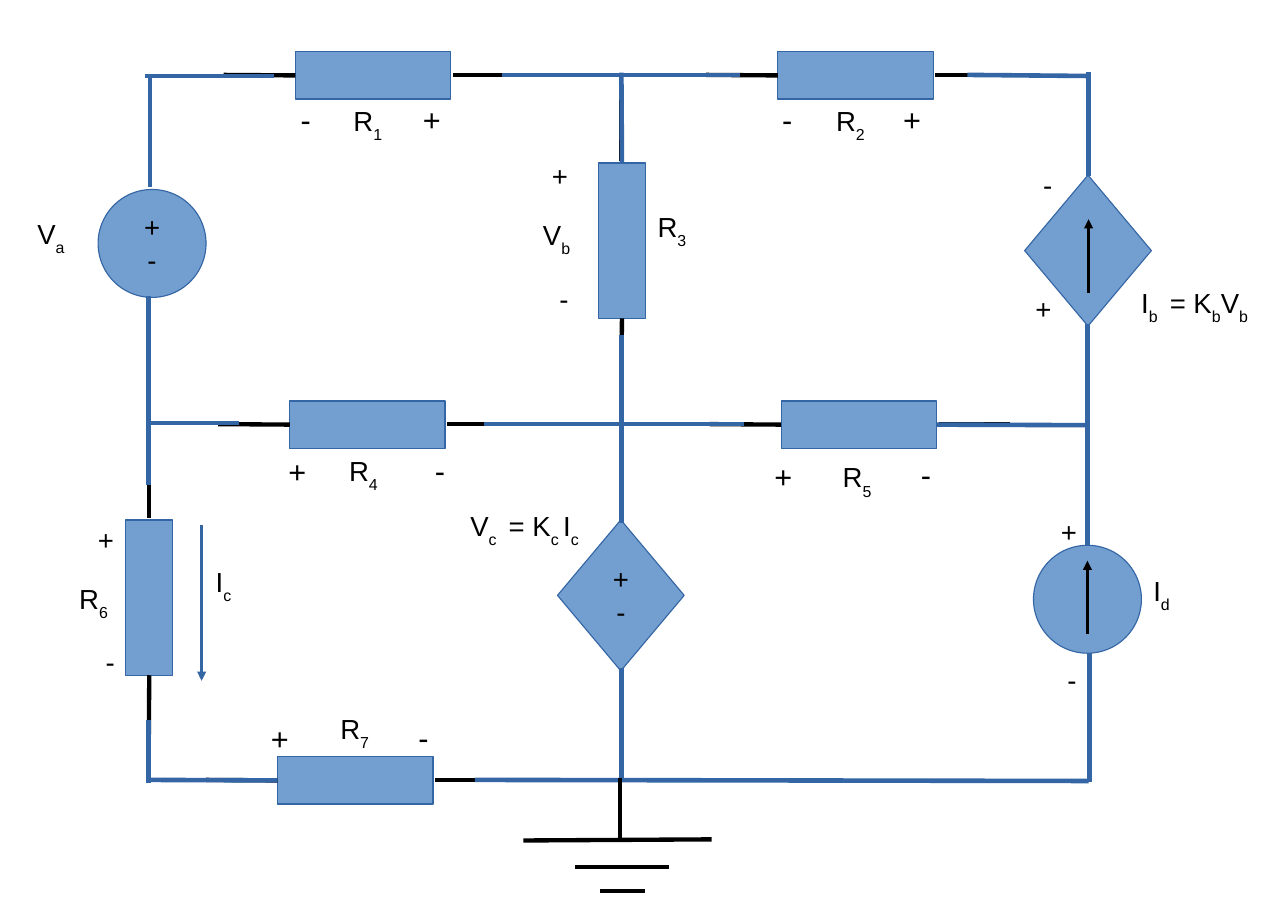
from dataclasses import dataclass

from lxml import etree
from pptx import Presentation
from pptx.dml.color import RGBColor
from pptx.enum.shapes import MSO_CONNECTOR, MSO_SHAPE
from pptx.enum.text import MSO_ANCHOR, MSO_AUTO_SIZE, PP_ALIGN
from pptx.oxml.ns import qn
from pptx.shapes.autoshape import Shape
from pptx.shapes.connector import Connector
from pptx.slide import Slide
from pptx.text.text import _Paragraph
from pptx.util import Pt

PX = 9144  # 100 px to the inch
BLACK = RGBColor(0x00, 0x00, 0x00)
BODY_BLUE = RGBColor(0x72, 0x9F, 0xCF)
WIRE_BLUE = RGBColor(0x34, 0x65, 0xA4)
FONT = "Arial"
HAIRLINE, LEAD_WIDTH, WIRE_WIDTH = 0, 2.83, 3
STRAIGHT = MSO_CONNECTOR.STRAIGHT
RECTANGLE, CIRCLE, DIAMOND = MSO_SHAPE.RECTANGLE, MSO_SHAPE.OVAL, MSO_SHAPE.DIAMOND
MIDDLE, CENTER = MSO_ANCHOR.MIDDLE, PP_ALIGN.CENTER
FIT_SHAPE = MSO_AUTO_SIZE.SHAPE_TO_FIT_TEXT
TOP, LEFT, BOTTOM, RIGHT = range(4)
LENGTH, THICKNESS, LEAD, GAP = 141, 43, 65, 2


@dataclass
class Resistor:
    name: str
    x: int
    y: int
    upright: bool = False


@dataclass
class Source:
    kind: MSO_SHAPE
    x: int
    y: int
    width: int
    height: int
    polarity: str = ""


@dataclass
class Line:
    x1: int
    y1: int
    x2: int
    y2: int


@dataclass
class Label:
    text: str  # parts between bars: base, subscript, base, ...
    x: int
    y: int
    width: int = 64
    height: int = 59
    size: int = 18


SOURCES = [
    Source(DIAMOND, 506, 472, 115, 137, "+\n-"),
    Source(CIRCLE, 938, 495, 98, 98),
    Source(DIAMOND, 930, 159, 115, 137),
    Source(CIRCLE, 89, 172, 98, 98, "+\n-"),
]
SOURCE_ARROWS = [Line(987, 576, 987, 509), Line(988, 266, 988, 199)]
CURRENT_ARROW = Line(183, 477, 183, 618)

RESISTORS = [
    Resistor("R1", 268, 47),
    Resistor("R2", 706, 47),
    Resistor("R4", 263, 364),
    Resistor("R5", 709, 364),
    Resistor("R7", 252, 687),
    Resistor("R6", 114, 472, upright=True),
    Resistor("R3", 543, 148, upright=True),
]

WIRES = [
    Line(136, 170, 136, 69), Line(132, 69, 249, 69),
    Line(135, 440, 135, 269), Line(135, 711, 135, 654),
    Line(439, 385, 675, 385), Line(564, 475, 564, 304),
    Line(456, 68, 672, 68), Line(431, 708, 988, 709),
    Line(564, 709, 564, 606), Line(989, 710, 989, 593),
    Line(987, 496, 987, 294), Line(988, 160, 988, 65),
    Line(878, 68, 988, 69), Line(135, 384, 217, 384),
]
# Wires that start at the middle of a resistor's side
JOINED_WIRES = [
    ("R7", LEFT, Line(252, 708, 134, 708)),
    ("R3", TOP, Line(564, 148, 564, 66)),
    ("R5", RIGHT, Line(850, 385, 988, 386)),
]

GROUND = [
    Line(646, 762, 475, 763), Line(522, 787, 607, 787),
    Line(545, 809, 585, 809), Line(563, 761, 563, 706),
]

NAMES = [
    Label("R|1", 311, 89), Label("R|2", 749, 89), Label("R|3", 587, 186),
    Label("R|4", 307, 407), Label("R|5", 755, 413), Label("R|6", 62, 523),
    Label("R|7", 299, 641), Label("I|d", 1037, 516), Label("V|a", 24, 192),
    Label("I|c", 186, 508), Label("V|b", 483, 193),
    Label("V|c | = K|c |I|c", 417, 457, 170),
    Label("I|b | = K|b|V|b", 1026, 255, 170),
]
# Signs beside the lying resistors are larger than those beside upright parts
LARGE_SIGNS = [
    ("-", 263, 87), ("+", 374, 87), ("-", 700, 87), ("+", 810, 87),
    ("-", 826, 409), ("+", 693, 411), ("-", 370, 648), ("+", 236, 649),
    ("-", 385, 405), ("+", 252, 406),
]
SMALL_SIGNS = [
    ("-", 498, 251), ("+", 491, 139), ("-", 86, 581), ("+", 79, 470),
    ("-", 959, 597), ("+", 953, 463), ("-", 937, 148), ("+", 930, 260),
]
LABELS = (
    NAMES
    + [Label(*sign, size=20) for sign in LARGE_SIGNS]
    + [Label(*sign, height=57) for sign in SMALL_SIGNS]
)


def set_font(paragraph: _Paragraph, size: int) -> None:
    paragraph.font.name = FONT
    paragraph.font.size = Pt(size)
    paragraph.font.color.rgb = BLACK


def draw_body(slide: Slide, kind: MSO_SHAPE, x: int, y: int, width: int, height: int) -> Shape:
    body = slide.shapes.add_shape(kind, x * PX, y * PX, width * PX, height * PX)
    body.shadow.inherit = False
    body.fill.solid()
    body.fill.fore_color.rgb = BODY_BLUE
    body.line.color.rgb = WIRE_BLUE
    body.line.width = Pt(HAIRLINE)
    return body


def draw_line(slide: Slide, line: Line, color: RGBColor, width: float, arrow: bool = False) -> Connector:
    connector = slide.shapes.add_connector(
        STRAIGHT, line.x1 * PX, line.y1 * PX, line.x2 * PX, line.y2 * PX)
    connector.line.color.rgb = color
    connector.line.width = Pt(width)
    if arrow:
        etree.SubElement(connector.line._get_or_add_ln(), qn("a:tailEnd"), type="triangle")
    etree.SubElement(connector._element.spPr, qn("a:effectLst"))
    return connector


def draw_source(slide: Slide, source: Source) -> None:
    body = draw_body(slide, source.kind, source.x, source.y, source.width, source.height)
    if source.polarity:
        frame = body.text_frame
        frame.text = source.polarity
        frame.word_wrap = False
        frame.vertical_anchor = MIDDLE
        for paragraph in frame.paragraphs:
            paragraph.alignment = CENTER
            set_font(paragraph, 18)


def draw_resistor(slide: Slide, resistor: Resistor) -> Shape:
    x, y = resistor.x, resistor.y
    if resistor.upright:
        middle, end = x + THICKNESS // 2, y + LENGTH
        body = draw_body(slide, RECTANGLE, x, y, THICKNESS, LENGTH)
        joined, side = Line(middle, end, middle, end + LEAD), BOTTOM
        loose = Line(middle, y - GAP, middle, y - GAP - LEAD)
    else:
        middle, end = y + THICKNESS // 2, x + LENGTH
        body = draw_body(slide, RECTANGLE, x, y, LENGTH, THICKNESS)
        joined, side = Line(x, middle, x - LEAD, middle), LEFT
        loose = Line(end + GAP, middle, end + GAP + LEAD, middle)
    draw_line(slide, joined, BLACK, LEAD_WIDTH).begin_connect(body, side)
    draw_line(slide, loose, BLACK, LEAD_WIDTH)
    return body


def draw_label(slide: Slide, label: Label) -> None:
    box = slide.shapes.add_textbox(
        label.x * PX, label.y * PX, label.width * PX, label.height * PX)
    box.text_frame.word_wrap = True
    box.text_frame.auto_size = FIT_SHAPE
    paragraph = box.text_frame.paragraphs[0]
    set_font(paragraph, label.size)
    for index, part in enumerate(label.text.split("|")):
        run = paragraph.add_run()
        run.text = part
        if index % 2:
            run._r.get_or_add_rPr().set("baseline", "-33000")


def main() -> None:
    presentation = Presentation()
    presentation.slide_width, presentation.slide_height = 1169 * PX, 827 * PX
    slide = presentation.slides.add_slide(presentation.slide_layouts[6])

    # Sources and resistors
    for source in SOURCES:
        draw_source(slide, source)
    for arrow in SOURCE_ARROWS:
        draw_line(slide, arrow, BLACK, HAIRLINE, arrow=True)
    bodies = {resistor.name: draw_resistor(slide, resistor) for resistor in RESISTORS}

    # Wiring, current direction and ground
    for wire in WIRES:
        draw_line(slide, wire, WIRE_BLUE, WIRE_WIDTH)
    for name, side, wire in JOINED_WIRES:
        draw_line(slide, wire, WIRE_BLUE, WIRE_WIDTH).begin_connect(bodies[name], side)
    draw_line(slide, CURRENT_ARROW, WIRE_BLUE, HAIRLINE, arrow=True)
    for bar in GROUND:
        draw_line(slide, bar, BLACK, LEAD_WIDTH)

    # Names and polarity signs
    for label in LABELS:
        draw_label(slide, label)

    presentation.save("out.pptx")


if __name__ == "__main__":
    main()
